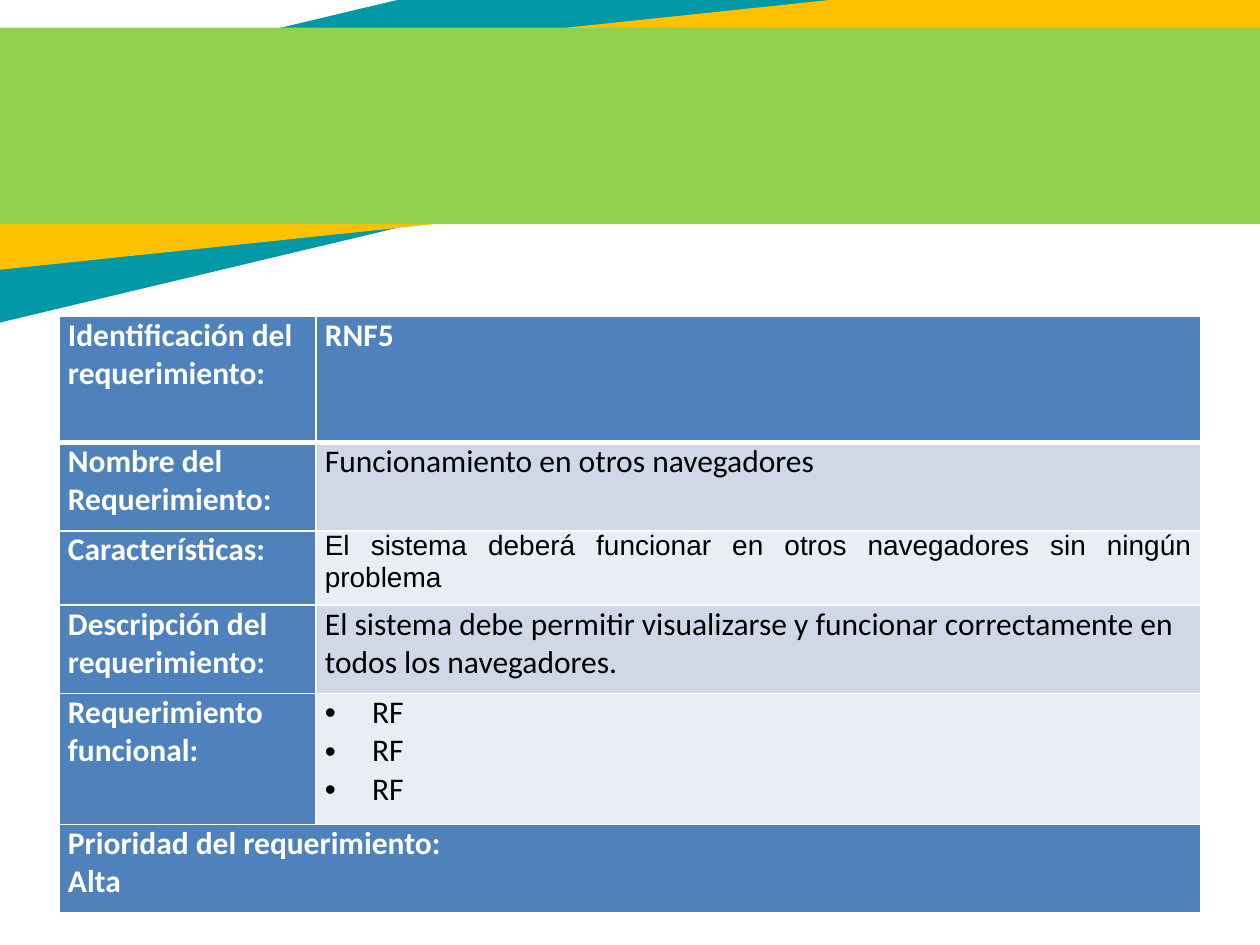
from lxml.etree import SubElement
from pptx import Presentation
from pptx.dml.color import RGBColor
from pptx.enum.shapes import MSO_SHAPE
from pptx.enum.text import PP_ALIGN
from pptx.oxml.ns import qn
from pptx.util import Cm, Pt

WHITE = RGBColor(0xFF, 0xFF, 0xFF)
BLACK = RGBColor(0x00, 0x00, 0x00)
TEAL = RGBColor(0x00, 0x99, 0xA5)
AMBER = RGBColor(0xFF, 0xC0, 0x00)
GREEN = RGBColor(0x92, 0xD0, 0x50)
BLUE = RGBColor(0x4F, 0x81, 0xBD)
BAND_DARK = RGBColor(0xD0, 0xD8, 0xE8)
BAND_LIGHT = RGBColor(0xE9, 0xED, 0xF4)


def write_lines(cell, lines, color=BLACK, bold=False, font="Calibri", size=18,
                align=None, bullet=False):
    frame = cell.text_frame
    for index, line in enumerate(lines):
        paragraph = frame.add_paragraph() if index else frame.paragraphs[0]
        if bullet:
            properties = paragraph._p.get_or_add_pPr()
            properties.set("marL", str(Cm(0.95)))
            properties.set("indent", str(-Cm(0.95)))
            SubElement(properties, qn("a:buFont"), typeface="Arial")
            SubElement(properties, qn("a:buChar"), char="•")
        paragraph.alignment = align
        run = paragraph.add_run()
        run.text = line
        run.font.name = font
        run.font.size = Pt(size)
        run.font.bold = bold
        run.font.color.rgb = color


def style_cell(cell, fill, bottom_width=1):
    cell.margin_left = cell.margin_right = Cm(0.18)
    cell.margin_top = cell.margin_bottom = 0
    properties = cell._tc.get_or_add_tcPr()
    for side, width in (("L", 1), ("R", 1), ("T", 1), ("B", bottom_width)):
        border = SubElement(properties, qn(f"a:ln{side}"), w=str(Pt(width)))
        border_fill = SubElement(border, qn("a:solidFill"))
        SubElement(border_fill, qn("a:srgbClr"), val=str(WHITE))
    cell.fill.solid()
    cell.fill.fore_color.rgb = fill


presentation = Presentation()
presentation.slide_width = Cm(25.4)
presentation.slide_height = Cm(19.05)
slide = presentation.slides.add_slide(presentation.slide_layouts[6])

bands = [
    (-6.38, -0.46, 33.17, 4.47, 346.6, TEAL),
    (-2.79, 0.51, 29.54, 3.66, 354, AMBER),
    (-2.69, 0.56, 29.54, 3.96, 0, GREEN),
]
for left, top, width, height, rotation, color in bands:
    band = slide.shapes.add_shape(
        MSO_SHAPE.RECTANGLE, Cm(left), Cm(top), Cm(width), Cm(height))
    band.rotation = rotation
    band.shadow.inherit = False
    band.fill.solid()
    band.fill.fore_color.rgb = color
    band.line.fill.background()

heading = {"color": WHITE, "bold": True}
rows = [
    (2.54, ["Identificación del requerimiento:"], ["RNF5"], BLUE, heading),
    (1.78, ["Nombre del Requerimiento:"],
     ["Funcionamiento en otros navegadores"], BAND_DARK, {}),
    (1.5, ["Características:"],
     ["El sistema deberá funcionar en otros navegadores sin ningún problema"],
     BAND_LIGHT, {"font": "Arial", "size": 16, "align": PP_ALIGN.JUSTIFY}),
    (1.78, ["Descripción del requerimiento:"],
     ["El sistema debe permitir visualizarse y funcionar correctamente en "
      "todos los navegadores."], BAND_DARK, {}),
    (2.64, ["Requerimiento funcional:"], ["RF"] * 3, BAND_LIGHT, {"bullet": True}),
    (1.78, ["Prioridad del requerimiento:", "Alta"], [], BLUE, {}),
]
column_widths = [5.18, 17.83]
table = slide.shapes.add_table(
    len(rows), len(column_widths), Cm(1.19), Cm(6.38),
    Cm(sum(column_widths)), Cm(sum(row[0] for row in rows))).table
for column, width in zip(table.columns, column_widths):
    column.width = Cm(width)

for index, (height, label, value, fill, value_format) in enumerate(rows):
    table.rows[index].height = Cm(height)
    label_cell, value_cell = table.cell(index, 0), table.cell(index, 1)
    bottom_width = 3 if index == 0 else 1
    style_cell(label_cell, BLUE, bottom_width)
    style_cell(value_cell, fill, bottom_width)
    write_lines(label_cell, label, **heading)
    write_lines(value_cell, value, **value_format)

last = len(rows) - 1
table.cell(last, 0).merge(table.cell(last, 1))

presentation.save("out.pptx")
